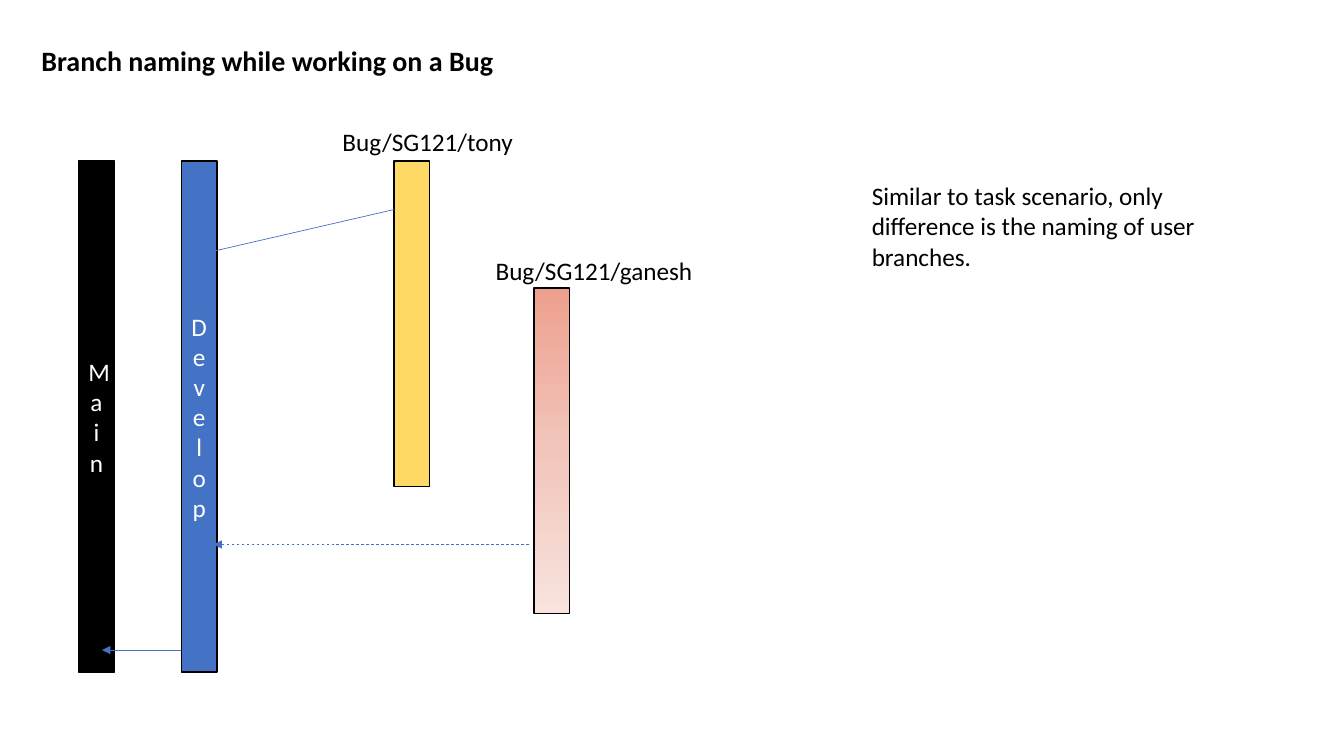
"""Draw the branch naming scheme for work on a bug."""
import copy
from typing import NamedTuple

import pptx
import pptx.dml.color
import pptx.enum.dml
import pptx.enum.shapes
import pptx.enum.text
import pptx.oxml
import pptx.oxml.ns
import pptx.util

Cm = pptx.util.Cm
BLACK, WHITE, BLUE = "000000", "FFFFFF", "4472C4"
TOP, WIDE, LONG, SHORT = 4.06, 0.9, 12.88, 8.2


class Bar(NamedTuple):
    left: float
    top: float
    high: float
    fills: list[str]
    name: str = ""


class Link(NamedTuple):
    start: tuple[float, float]
    end: tuple[float, float]
    dashed: bool = False


class Label(NamedTuple):
    text: str
    box: tuple[float, float, float, float]
    wrap: bool = False


BARS = [
    Bar(1.98, TOP, LONG, [BLACK], "Main"),
    Bar(4.57, TOP, LONG, [BLUE], "Develop"),
    Bar(9.93, TOP, SHORT, ["FFD966"]),
    Bar(13.46, 7.26, SHORT, ["EDA08E", "F2C5BB", "F8E3DE"]),
]
LINKS = [
    Link((9.93, 5.28), (5.16, 6.38)),
    Link((4.57, 16.38), (2.57, 16.38)),
    Link((13.34, 13.72), (5.38, 13.72), dashed=True),
]
LABELS = [
    Label("Bug/SG121/tony", (8.38, 3.05, 4.85, 1.02)),
    Label("Bug/SG121/ganesh", (12.24, 6.32, 5.54, 1.02)),
    Label("Similar to task scenario, only difference is the naming of user branches.",
          (21.72, 4.42, 10.19, 2.57), wrap=True),
]


def tint(code: str) -> pptx.dml.color.RGBColor:
    """Turn a hex string into a colour."""
    return pptx.dml.color.RGBColor.from_string(code)


def write(shape, text: str, *, size: float = 18, color: str = BLACK, bold: bool = False,
          align: str = "LEFT", anchor: str = "TOP", wrap: bool = True) -> None:
    """Put formatted text into a shape."""
    frame = shape.text_frame
    frame.auto_size = pptx.enum.text.MSO_AUTO_SIZE.NONE
    frame.word_wrap = wrap
    frame.vertical_anchor = pptx.enum.text.MSO_ANCHOR[anchor]
    para = frame.paragraphs[0]
    para.alignment = pptx.enum.text.PP_ALIGN[align]
    run = para.add_run()
    run.text = text
    run.font.name, run.font.size, run.font.bold = "Calibri", pptx.util.Pt(size), bold
    run.font.color.rgb = tint(color)


def paint(shape, fills: list[str]) -> None:
    """Fill a shape with one colour or an even downward gradient."""
    if len(fills) == 1:
        shape.fill.solid()
        shape.fill.fore_color.rgb = tint(fills[0])
        return
    shape.fill.gradient()
    shape.fill.gradient_angle = 270
    stops = shape._element.spPr.find(".//" + pptx.oxml.ns.qn("a:gsLst"))
    while len(stops) < len(fills):
        stops.append(copy.deepcopy(stops[0]))
    for i, (stop, code) in enumerate(zip(shape.fill.gradient_stops, fills)):
        stop.position = i / (len(fills) - 1)
        stop.color.rgb = tint(code)


def draw_bar(slide, bar: Bar) -> None:
    """Draw one branch as an upright bar."""
    shape = slide.shapes.add_shape(pptx.enum.shapes.MSO_SHAPE.RECTANGLE,
                                   Cm(bar.left), Cm(bar.top), Cm(WIDE), Cm(bar.high))
    shape.shadow.inherit = False
    paint(shape, bar.fills)
    shape.line.color.rgb = tint(BLACK)
    shape.line.width = pptx.util.Pt(1)
    if bar.name:
        write(shape, bar.name, color=WHITE, align="CENTER", anchor="MIDDLE")


def draw_link(slide, link: Link) -> None:
    """Draw one arrow between branches."""
    arrow = slide.shapes.add_connector(pptx.enum.shapes.MSO_CONNECTOR.STRAIGHT,
                                       *map(Cm, link.start + link.end))
    arrow.line.color.rgb = tint(BLUE)
    arrow.line.width = pptx.util.Pt(0.5)
    if link.dashed:
        arrow.line.dash_style = pptx.enum.dml.MSO_LINE.DASH
    space = pptx.oxml.ns.nsdecls("a")
    arrow.line._get_or_add_ln().append(
        pptx.oxml.parse_xml(f'<a:tailEnd {space} type="triangle"/>'))
    arrow._element.spPr.append(pptx.oxml.parse_xml(f"<a:effectLst {space}/>"))


def draw_label(slide, label: Label) -> None:
    """Draw one free text."""
    write(slide.shapes.add_textbox(*map(Cm, label.box)), label.text, wrap=label.wrap)


def main() -> None:
    """Build and save the slide."""
    deck = pptx.Presentation()
    deck.slide_width, deck.slide_height = Cm(33.87), Cm(19.05)
    slide = deck.slides.add_slide(deck.slide_layouts.get_by_name("Title Only"))
    title = slide.shapes.title
    title.left, title.top, title.width, title.height = map(Cm, (0.79, 0.97, 14.35, 1.12))
    write(title, "Branch naming while working on a Bug", size=20, bold=True)
    for bar in BARS:
        draw_bar(slide, bar)
    for link in LINKS:
        draw_link(slide, link)
    for label in LABELS:
        draw_label(slide, label)
    deck.save("out.pptx")


main()
